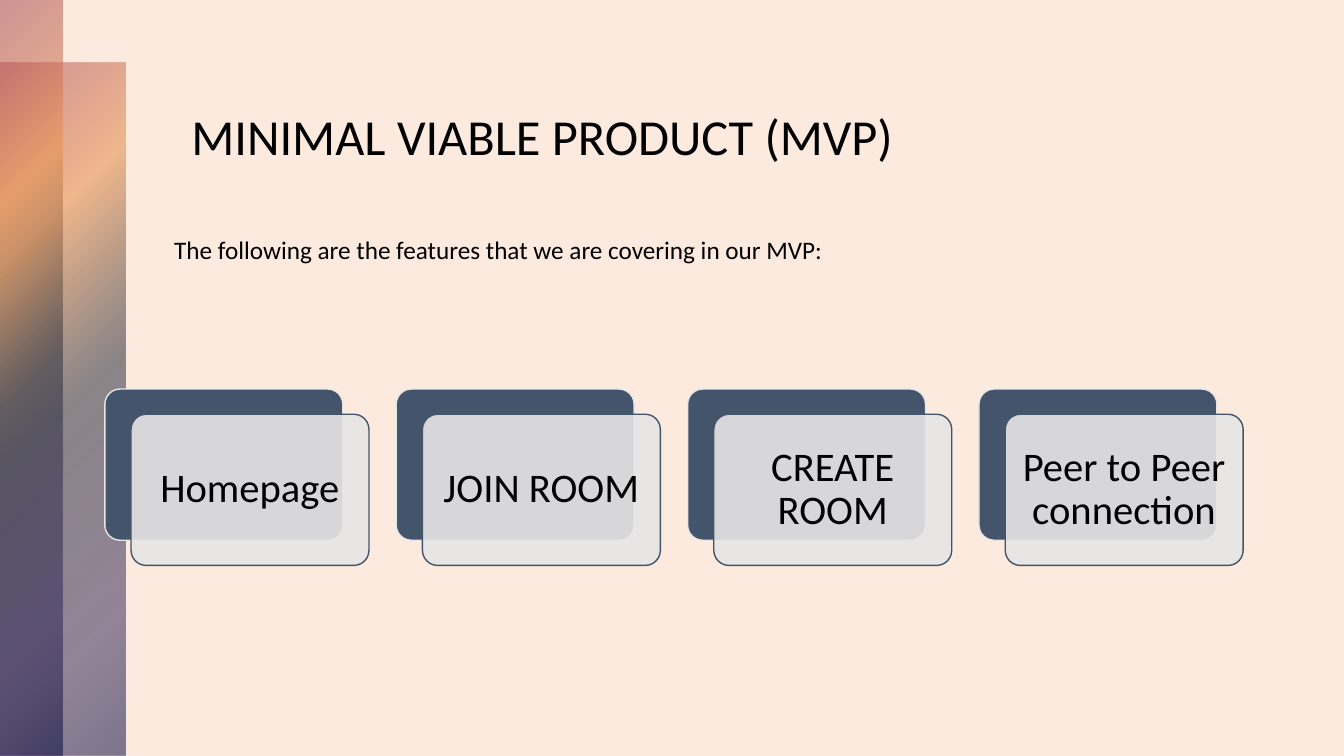
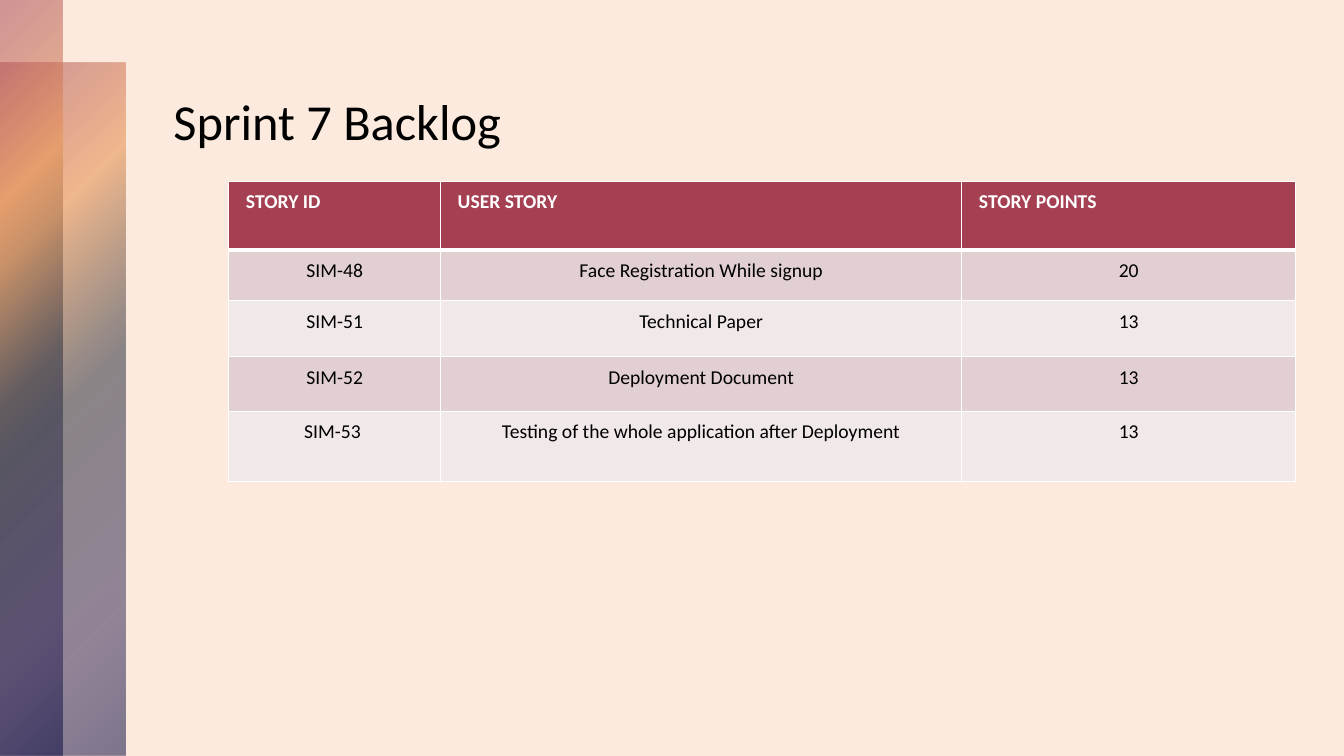
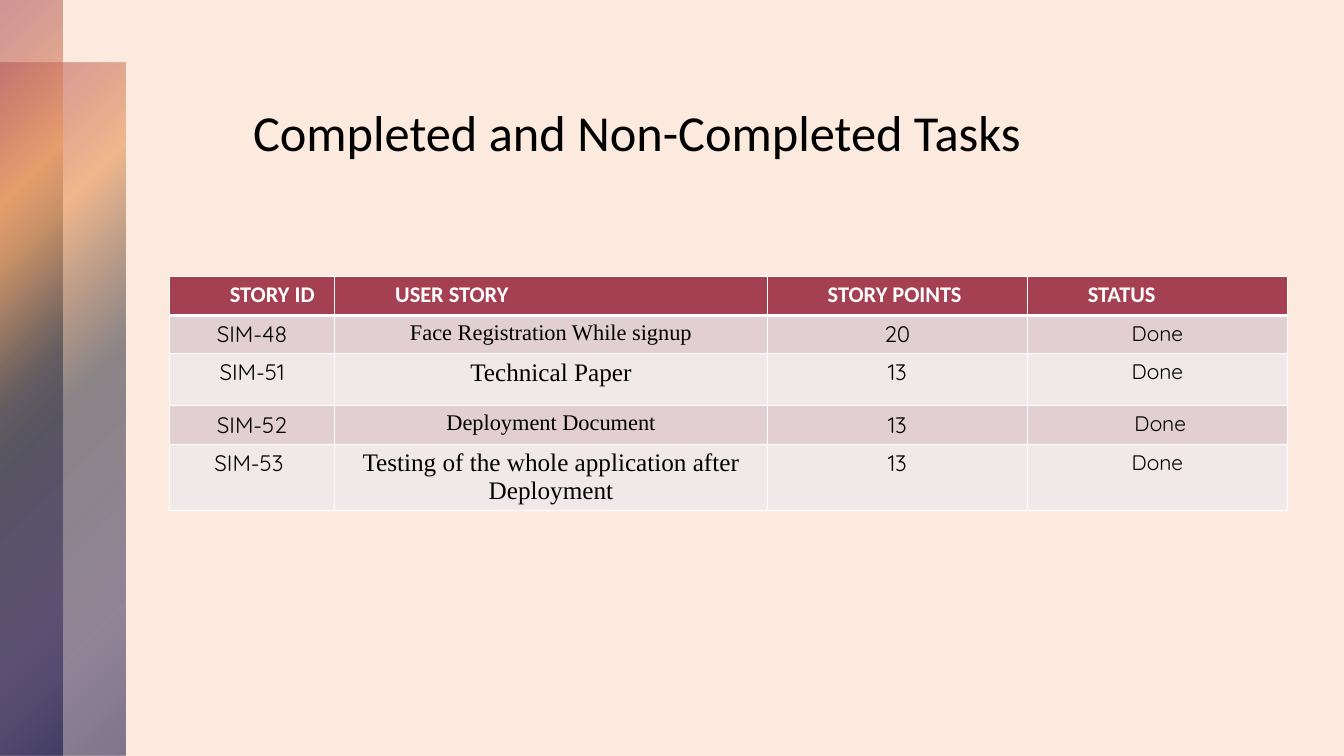
from dataclasses import dataclass

from lxml.etree import SubElement
from pptx import Presentation
from pptx.dml.color import RGBColor
from pptx.enum.shapes import MSO_SHAPE
from pptx.enum.text import MSO_ANCHOR, MSO_AUTO_SIZE, PP_ALIGN
from pptx.oxml import parse_xml
from pptx.oxml.ns import nsdecls, qn
from pptx.util import Emu, Pt

PX = 9144  # one px is a hundredth of an inch
TITLE_ONLY = 5


def px(length):
    return Emu(length * PX)


def place(left, top, width, height):
    return px(left), px(top), px(width), px(height)


@dataclass(frozen=True)
class Theme:
    background: str = "FBEADD"
    ink: str = "000000"
    white: str = "FFFFFF"
    slate: str = "44546A"
    mist: str = "E7E6E6"
    header: str = "A53F52"
    row_bands: tuple = ("E1CFD1", "F0E8E9")
    # position %, colour, opacity %
    sunset: tuple = ((0, "A53F52", 50), (25, "E99757", 60), (50, "2F3342", 55),
                     (81, "2C2153", 50), (99, "01023B", 50))
    font: str = "Calibri"
    title_size: int = 36
    feature_size: int = 29
    text_size: int = 18


@dataclass(frozen=True)
class Column:
    label: str
    width: int
    font: str = "Calibri"
    sizes: tuple = (14,)  # repeated down the body rows


class Deck:
    def __init__(self, theme):
        self.theme = theme
        self.presentation = Presentation()
        self.presentation.slide_width, self.presentation.slide_height = px(1333), px(750)
        self.slide = None
        fill = self.presentation.slide_master.background.fill
        fill.solid()
        fill.fore_color.rgb = RGBColor.from_string(theme.background)

    # Text
    def add_run(self, paragraph, text, size, font=None, color=None, bold=False):
        run = paragraph.add_run()
        run.text = text
        run.font.size = Pt(size)
        run.font.name = font or self.theme.font
        run.font.bold = bold
        run.font.color.rgb = RGBColor.from_string(color or self.theme.ink)

    def add_slide(self, title, box, align=PP_ALIGN.LEFT):
        layout = self.presentation.slide_layouts[TITLE_ONLY]
        self.slide = self.presentation.slides.add_slide(layout)
        shape = self.slide.shapes.title
        shape.left, shape.top, shape.width, shape.height = place(*box)
        frame = shape.text_frame
        frame.auto_size = MSO_AUTO_SIZE.NONE
        frame.vertical_anchor = MSO_ANCHOR.MIDDLE
        paragraph = frame.paragraphs[0]
        paragraph.alignment = align
        self.add_run(paragraph, title, self.theme.title_size)

    def add_text(self, text, box):
        frame = self.slide.shapes.add_textbox(*place(*box)).text_frame
        frame.word_wrap = True
        self.add_run(frame.paragraphs[0], text, self.theme.text_size)

    # Shapes
    def add_card(self, box, fill, line, opacity=100):
        shape = self.slide.shapes.add_shape(MSO_SHAPE.ROUNDED_RECTANGLE, *place(*box))
        shape.shadow.inherit = False
        shape.adjustments[0] = 0.1
        shape.fill.solid()
        shape.fill.fore_color.rgb = RGBColor.from_string(fill)
        shape.line.color.rgb = RGBColor.from_string(line)
        shape.line.width = Pt(1)
        if opacity < 100:
            color = shape.element.spPr.find(f"{qn('a:solidFill')}/{qn('a:srgbClr')}")
            SubElement(color, qn("a:alpha"), val=str(opacity * 1000))
        return shape

    def add_feature(self, text, left, top):
        theme = self.theme
        width, height, offset = 236, 150, 26
        self.add_card((left, top, width, height), theme.slate, theme.mist)
        front = self.add_card((left + offset, top + offset - 1, width, height),
                              theme.mist, theme.slate, opacity=90)
        frame = front.text_frame
        frame.word_wrap = True
        frame.vertical_anchor = MSO_ANCHOR.MIDDLE
        frame.margin_left = frame.margin_right = px(12)
        frame.margin_top = frame.margin_bottom = px(12)
        paragraph = frame.paragraphs[0]
        paragraph.alignment = PP_ALIGN.CENTER
        paragraph.line_spacing = 0.9
        self.add_run(paragraph, text, theme.feature_size)

    # Tables
    def format_cell(self, cell, fill, margins, top=1, bottom=1):
        cell.margin_left = cell.margin_right = px(margins[0])
        cell.margin_top = cell.margin_bottom = px(margins[1])
        cell.fill.solid()
        cell.fill.fore_color.rgb = RGBColor.from_string(fill)
        properties = cell._tc.get_or_add_tcPr()
        borders = (("lnL", 1), ("lnR", 1), ("lnT", top), ("lnB", bottom))
        for index, (side, width) in enumerate(borders):
            properties.insert(index, parse_xml(
                f'<a:{side} {nsdecls("a")} w="{Pt(width)}"><a:solidFill>'
                f'<a:srgbClr val="{self.theme.white}"/></a:solidFill></a:{side}>'))

    def add_table(self, left, top, columns, heights, rows, header_size,
                  header_margins, margins, header_indent=0):
        theme = self.theme
        width = sum(column.width for column in columns)
        table = self.slide.shapes.add_table(
            len(heights), len(columns), *place(left, top, width, sum(heights))).table
        table.first_row = table.horz_banding = False
        for row, height in zip(table.rows, heights):
            row.height = px(height)
        for index, column in enumerate(columns):
            table.columns[index].width = px(column.width)
            cell = table.cell(0, index)
            self.format_cell(cell, theme.header, header_margins, bottom=3)
            paragraph = cell.text_frame.paragraphs[0]
            if header_indent:
                paragraph._p.get_or_add_pPr().set("indent", str(px(header_indent)))
            self.add_run(paragraph, column.label, header_size, color=theme.white, bold=True)
            for number, row in enumerate(rows):
                cell = table.cell(number + 1, index)
                self.format_cell(cell, theme.row_bands[number % 2], margins,
                                 top=1 if number else 3)
                paragraph = cell.text_frame.paragraphs[0]
                paragraph.alignment = PP_ALIGN.CENTER
                size = column.sizes[number % len(column.sizes)]
                self.add_run(paragraph, row[index], size, column.font)

    # Side bands, drawn once and moved to the master
    def add_master_bands(self):
        stops = "".join(
            f'<a:gs pos="{position * 1000}"><a:srgbClr val="{color}">'
            f'<a:alpha val="{opacity * 1000}"/></a:srgbClr></a:gs>'
            for position, color, opacity in self.theme.sunset)
        tree = self.presentation.slide_master.shapes.element
        for index, box in enumerate(((0, 62, 124, 688), (0, 0, 62, 750))):
            band = self.slide.shapes.add_shape(MSO_SHAPE.RECTANGLE, *place(*box))
            band.shadow.inherit = False
            band.line.fill.background()
            band.element.spPr.find(qn("a:prstGeom")).addnext(parse_xml(
                f'<a:gradFill {nsdecls("a")} rotWithShape="1"><a:gsLst>{stops}</a:gsLst>'
                '<a:path path="circle"><a:fillToRect r="100000" b="100000"/></a:path>'
                '</a:gradFill>'))
            band.element.nvSpPr.cNvPr.set("id", str(20 + index))
            tree.insert(2 + index, band.element)


def main():
    deck = Deck(Theme())

    # Minimal viable product
    deck.add_slide("MINIMAL VIABLE PRODUCT (MVP)", (121, 75, 834, 119), PP_ALIGN.CENTER)
    features = ("Homepage", "JOIN ROOM ", "CREATE ROOM", "Peer to Peer connection")
    for index, feature in enumerate(features):
        deck.add_feature(feature, 104 + 289 * index, 386)
    deck.add_text("The following are the features that we are covering in our MVP:",
                  (163, 228, 666, 40))

    # Sprint backlog
    stories = (
        ("SIM-48", "Face Registration While signup", "20"),
        ("SIM-51", "Technical Paper", "13"),
        ("SIM-52", "Deployment Document", "13"),
        ("SIM-53 ", "Testing of the whole application after Deployment", "13"),
    )
    deck.add_slide("Sprint 7 Backlog", (162, 84, 402, 71))
    deck.add_table(
        227, 180,
        (Column("STORY ID", 210), Column("USER STORY", 517), Column("STORY POINTS", 331)),
        (68, 50, 56, 54, 70), stories,
        header_size=14, header_margins=(17, 8), margins=(17, 9))

    # Task status
    statuses = ("Done", "Done", " Done", "Done")
    tasks = [(*story, status) for story, status in zip(stories, statuses)]
    deck.add_slide("Completed and Non-Completed Tasks", (241, 95, 789, 71))
    deck.add_table(
        168, 274,
        (Column("STORY ID", 164, "Quicksand", (16,)),
         Column("USER STORY", 429, "Times New Roman", (16, 18)),
         Column("STORY POINTS", 258, "Quicksand", (16,)),
         Column("STATUS", 258, "Quicksand", (15,))),
        (39, 37, 52, 38, 66), tasks,
        header_size=16, header_margins=(10, 5), margins=(10, 5), header_indent=50)

    deck.add_master_bands()
    deck.presentation.save("out.pptx")


if __name__ == "__main__":
    main()
